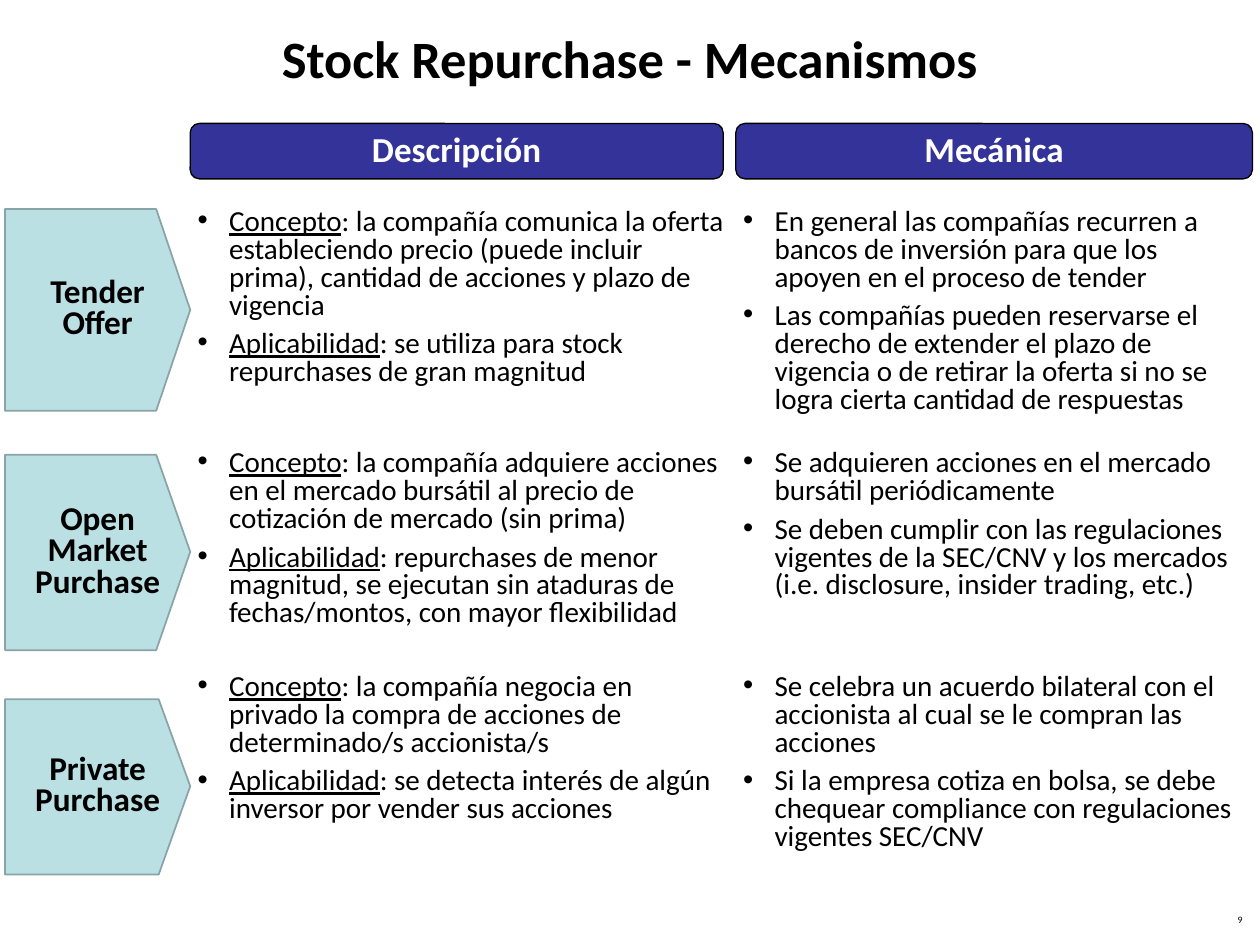
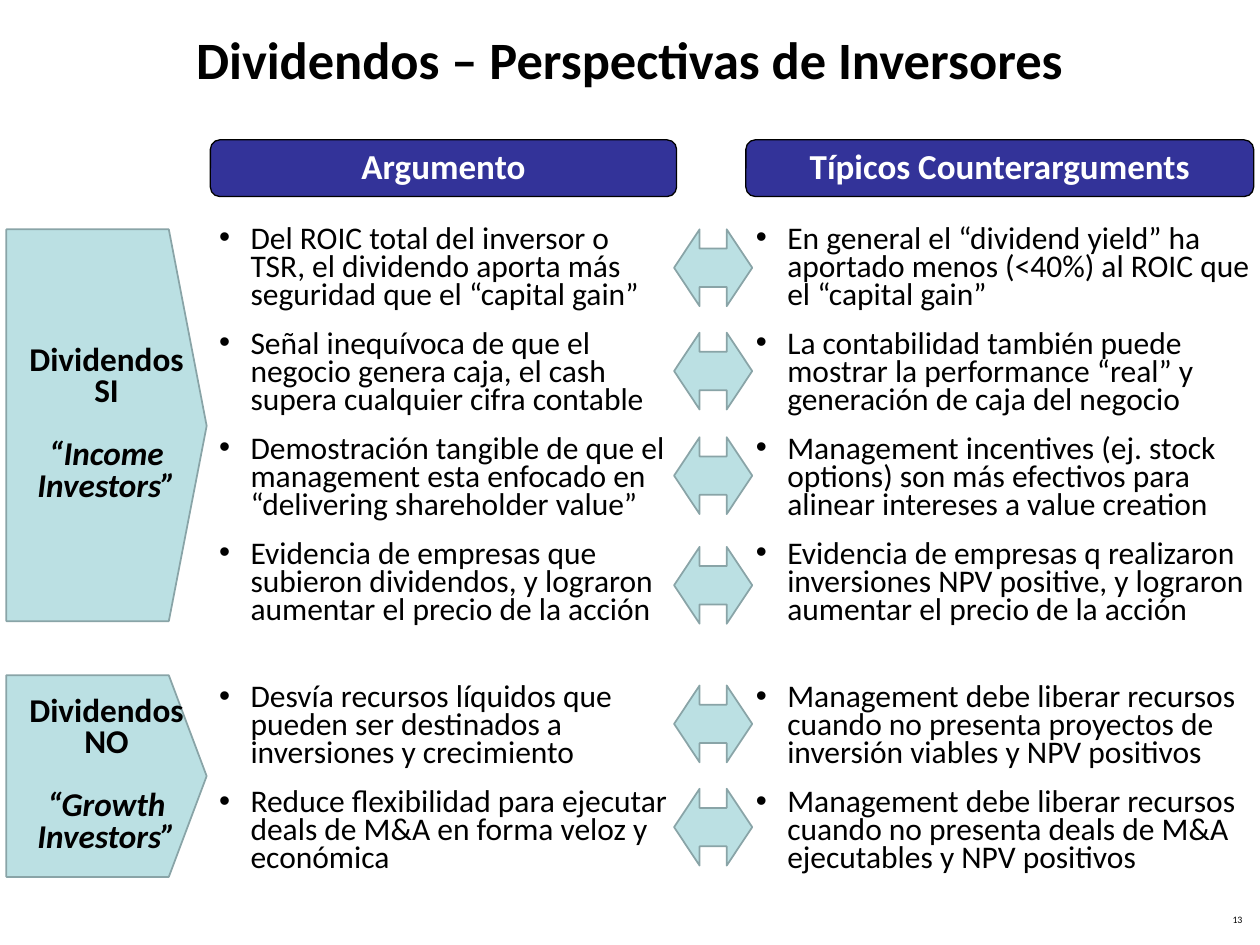
from lxml.etree import SubElement
from pptx import Presentation
from pptx.dml.color import RGBColor
from pptx.enum.shapes import MSO_SHAPE as SHAPE
from pptx.enum.text import MSO_ANCHOR as ANCHOR, PP_ALIGN as ALIGN
from pptx.oxml.ns import qn
from pptx.util import Pt

PX = 9144  # EMU per px, 100 px to the inch
FONT = "Calibri"
BLACK, WHITE = "000000", "FFFFFF"
NAVY, AQUA, AQUA_EDGE = "333399", "BBE0E3", "89A4A7"

# Shared text styles
TITLE = dict(size=Pt(30), bold=True)
HEADER = dict(size=Pt(20), bold=True)
LABEL = dict(size=Pt(19), bold=True)
PAGE = dict(size=Pt(5.6))


def rgb(code):
    return RGBColor.from_string(code)


def px(*lengths):
    return [n * PX for n in lengths]


def set_all(target, values):
    for name, value in values.items():
        setattr(target, name, value)


def add_run(p, text, font, color=BLACK):
    r = p.add_run()
    r.text = text
    set_all(r.font, dict(name=FONT, **font))
    r.font.color.rgb = rgb(color)


def paint(s, fill, line, width):
    s.shadow.inherit = False
    s.fill.solid()
    s.fill.fore_color.rgb = rgb(fill)
    s.line.color.rgb = rgb(line)
    s.line.width = Pt(width)


def frame(s, anchor=ANCHOR.MIDDLE):
    tf = s.text_frame
    set_all(tf, dict(word_wrap=True, vertical_anchor=anchor))
    return tf


def add_line(tf, text, font, color=BLACK, **layout):
    """Fill the first paragraph, or start another one."""
    p = tf.paragraphs[0]
    if p.runs:
        p = tf.add_paragraph()
    set_all(p, dict(alignment=ALIGN.CENTER, **layout))
    add_run(p, text, font, color)


def add_slide(prs, title, title_top, number):
    """Blank slide with its title and page number."""
    slide = prs.slides.add_slide(prs.slide_layouts[6])
    s = slide.shapes.add_textbox(*px(0, title_top, 1000, 91))
    add_line(frame(s), title, TITLE)
    s = slide.shapes.add_textbox(*px(763, 722, 233, 21))
    tf = frame(s, ANCHOR.TOP)
    add_line(tf, number, PAGE, line_spacing=0.8)
    tf.paragraphs[0].alignment = ALIGN.RIGHT
    return slide


def add_header(slide, text, x, y, w, h):
    s = slide.shapes.add_shape(SHAPE.ROUNDED_RECTANGLE, *px(x, y, w, h))
    s.adjustments[0] = 0.167
    paint(s, NAVY, BLACK, 0.75)
    add_line(frame(s), text, HEADER, WHITE, line_spacing=0.9)


def add_pentagon(slide, x, y, w, h, shoulder, label, nickname=None):
    """Row label pointing right; shoulder is where the tip begins."""
    builder = slide.shapes.build_freeform(x, y, scale=PX)
    builder.add_line_segments([(shoulder, y), (x + w, y + h / 2),
                               (shoulder, y + h), (x, y + h)], close=True)
    s = builder.convert_to_shape()
    paint(s, AQUA, AQUA_EDGE, 1)
    tf = frame(s)
    add_line(tf, label, LABEL, line_spacing=Pt(18))
    if nickname:
        add_line(tf, nickname, dict(LABEL, italic=True),
                 line_spacing=Pt(18), space_before=Pt(18))


def add_bullet_mark(p):
    pPr = p._p.get_or_add_pPr()
    pPr.set("marL", str(25 * PX))
    pPr.set("indent", str(-25 * PX))
    SubElement(pPr, qn("a:buFont"), typeface="Arial")
    SubElement(pPr, qn("a:buChar"), char="•")


def add_bullets(slide, box, size, gap, groups):
    """Groups are (space above in points, texts); a lead before ':' is underlined."""
    tf = frame(slide.shapes.add_textbox(*px(*box)), ANCHOR.TOP)
    items = [(gap if i else above, text)
             for above, texts in groups for i, text in enumerate(texts)]
    for i, (before, text) in enumerate(items):
        p = tf.add_paragraph() if i else tf.paragraphs[0]
        set_all(p, dict(alignment=ALIGN.LEFT, line_spacing=Pt(16), space_before=Pt(before)))
        add_bullet_mark(p)
        lead, colon, rest = text.partition(":")
        font = dict(size=Pt(size))
        if colon:
            add_run(p, lead, dict(font, underline=True))
        add_run(p, colon + rest if colon else text, font)


def add_double_arrow(slide, y):
    s = slide.shapes.add_shape(SHAPE.LEFT_RIGHT_ARROW, *px(535, y, 62, 61))
    s.adjustments[0], s.adjustments[1] = 0.5, 0.332
    paint(s, AQUA, AQUA_EDGE, 1)


def build_mechanisms(prs):
    slide = add_slide(prs, "Stock Repurchase - Mecanismos", 0, "9")
    add_header(slide, "Descripción", 151, 98, 423, 44)
    add_header(slide, "Mecánica", 584, 98, 410, 44)

    # Row labels
    for y, h, shoulder, label in [(166, 160, 124, "Tender Offer"),
                                  (361, 155, 124, "Open Market Purchase"),
                                  (555, 139, 126, "Private Purchase")]:
        add_pentagon(slide, 4, y, 147, h, shoulder, label)

    # Text columns
    add_bullets(slide, (147, 161, 438, 506), 16.6, 6, [
        (6, ["Concepto: la compañía comunica la oferta estableciendo precio (puede "
             "incluir prima), cantidad de acciones y plazo de vigencia",
             "Aplicabilidad: se utiliza para stock repurchases de gran magnitud"]),
        (36, ["Concepto: la compañía adquiere acciones en el mercado bursátil al "
              "precio de cotización de mercado (sin prima)",
              "Aplicabilidad: repurchases de menor magnitud, se ejecutan sin ataduras "
              "de fechas/montos, con mayor flexibilidad"]),
        (26, ["Concepto: la compañía negocia en privado la compra de acciones de "
              "determinado/s accionista/s",
              "Aplicabilidad: se detecta interés de algún inversor por vender sus "
              "acciones"]),
    ])
    add_bullets(slide, (580, 161, 420, 506), 16.6, 6, [
        (6, ["En general las compañías recurren a bancos de inversión para que los "
             "apoyen en el proceso de tender",
             "Las compañías pueden reservarse el derecho de extender el plazo de "
             "vigencia o de retirar la oferta si no se logra cierta cantidad de "
             "respuestas"]),
        (20, ["Se adquieren acciones en el mercado bursátil periódicamente",
              "Se deben cumplir con las regulaciones vigentes de la SEC/CNV y los "
              "mercados (i.e. disclosure, insider trading, etc.)"]),
        (42, ["Se celebra un acuerdo bilateral con el accionista al cual se le "
              "compran las acciones",
              "Si la empresa cotiza en bolsa, se debe chequear compliance con "
              "regulaciones vigentes SEC/CNV"]),
    ])


def build_perspectives(prs):
    slide = add_slide(prs, "Dividendos – Perspectivas de Inversores", 1, "13")
    add_header(slide, "Argumento", 167, 111, 370, 45)
    add_header(slide, "Típicos Counterarguments", 592, 111, 403, 45)

    # Row labels
    add_pentagon(slide, 5, 182, 159, 311, 134, "Dividendos SI", "“Income Investors”")
    add_pentagon(slide, 5, 536, 159, 160, 134, "Dividendos NO", "“Growth Investors”")

    # Text columns
    add_bullets(slide, (164, 176, 378, 505), 18, 12, [
        (12, ["Del ROIC total del inversor o TSR, el dividendo aporta más seguridad "
              "que el “capital gain”",
              "Señal inequívoca de que el negocio genera caja, el cash supera "
              "cualquier cifra contable",
              "Demostración tangible de que el management esta enfocado en "
              "“delivering shareholder value”",
              "Evidencia de empresas que subieron dividendos, y lograron aumentar el "
              "precio de la acción"]),
        (34, ["Desvía recursos líquidos que pueden ser destinados a inversiones y "
              "crecimiento",
              "Reduce flexibilidad para ejecutar deals de M&A en forma veloz y "
              "económica"]),
    ])
    add_bullets(slide, (590, 176, 412, 505), 18, 12, [
        (12, ["En general el “dividend yield” ha aportado menos (<40%) al ROIC que el "
              "“capital gain”",
              "La contabilidad también puede mostrar la performance “real” y "
              "generación de caja del negocio",
              "Management incentives (ej. stock options) son más efectivos para "
              "alinear intereses a value creation",
              "Evidencia de empresas q realizaron inversiones NPV positive, y "
              "lograron aumentar el precio de la acción"]),
        (34, ["Management debe liberar recursos cuando no presenta proyectos de "
              "inversión viables y NPV positivos",
              "Management debe liberar recursos cuando no presenta deals de M&A "
              "ejecutables y NPV positivos"]),
    ])

    # Arrows linking each argument to its counterargument
    for y in (182, 264, 347, 434, 544, 626):
        add_double_arrow(slide, y)


def main():
    prs = Presentation()
    prs.slide_width, prs.slide_height = px(1000, 750)
    build_mechanisms(prs)
    build_perspectives(prs)
    prs.save("out.pptx")


if __name__ == "__main__":
    main()
